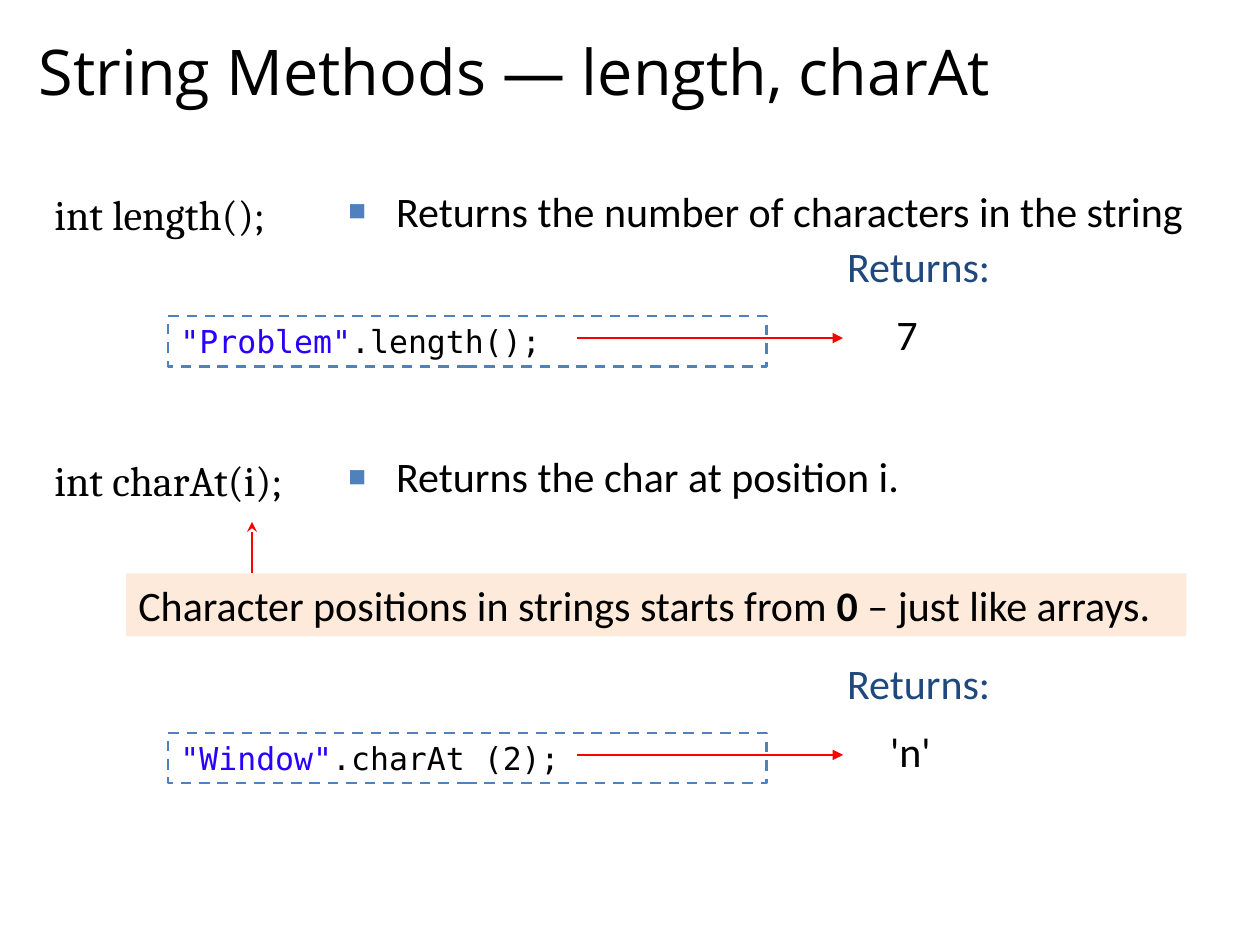
from lxml import etree
from pptx import Presentation
from pptx.dml.color import RGBColor
from pptx.enum.dml import MSO_LINE
from pptx.enum.shapes import MSO_CONNECTOR, MSO_SHAPE
from pptx.enum.text import MSO_ANCHOR, MSO_AUTO_SIZE, PP_ALIGN
from pptx.oxml.ns import qn
from pptx.util import Inches, Pt

BLACK = RGBColor(0x00, 0x00, 0x00)
RED = RGBColor(0xFF, 0x00, 0x00)
BLUE = RGBColor(0x4F, 0x81, 0xBD)
NAVY = RGBColor(0x1F, 0x49, 0x7D)
LITERAL = RGBColor(0x2A, 0x00, 0xFF)
PEACH = RGBColor(0xFD, 0xEA, 0xDA)

STRAIGHT = MSO_CONNECTOR.STRAIGHT
RECTANGLE = MSO_SHAPE.RECTANGLE
DASH = MSO_LINE.DASH
LEFT, CENTER = PP_ALIGN.LEFT, PP_ALIGN.CENTER
TOP, MIDDLE = MSO_ANCHOR.TOP, MSO_ANCHOR.MIDDLE
FIXED, GROW = MSO_AUTO_SIZE.NONE, MSO_AUTO_SIZE.SHAPE_TO_FIT_TEXT

COLUMNS, ROWS = 120, 90
HANGING = Inches(0.38)


def apply(target, values):
    for name, value in values.items():
        setattr(target, name, value)


def add_element(parent, tag, **attributes):
    return etree.SubElement(parent, qn(tag), attributes)


class SlideBuilder:
    BODY = {"name": "Calibri", "size": Pt(24), "bold": False}
    TITLE = {"name": "Open Sans", "size": Pt(36), "bold": False}
    SIGNATURE = {"name": "Cambria", "size": Pt(24), "bold": False}
    CODE = {"name": "DejaVu Sans Mono", "size": Pt(18), "bold": False}

    def __init__(self, deck):
        self.slide = deck.slides.add_slide(deck.slide_layouts[5])
        self.column = deck.slide_width / COLUMNS
        self.row = deck.slide_height / ROWS

    def area(self, left, top, width, height):
        return [round(left * self.column), round(top * self.row),
                round(width * self.column), round(height * self.row)]

    def fill_text(self, shape, runs, font, align=LEFT, anchor=TOP, fit=GROW):
        frame = shape.text_frame
        apply(frame, {"word_wrap": True, "auto_size": fit, "vertical_anchor": anchor})
        paragraph = frame.paragraphs[0]
        paragraph.alignment = align
        for text, color, changes in runs:
            run = paragraph.add_run()
            run.text = text
            apply(run.font, {**font, **changes})
            run.font.color.rgb = color
        return paragraph

    def title(self, text, area):
        heading = self.slide.shapes.title
        apply(heading, dict(zip(("left", "top", "width", "height"), self.area(*area))))
        self.fill_text(heading, [(text, BLACK, {})], self.TITLE, anchor=MIDDLE, fit=FIXED)

    def text(self, text, area, font=BODY, color=BLACK, **layout):
        box = self.slide.shapes.add_textbox(*self.area(*area))
        return self.fill_text(box, [(text, color, {})], font, **layout)

    def signature(self, text, area):
        self.text(text, area, self.SIGNATURE, fit=FIXED).line_spacing = 1.14

    def bullet(self, text, area):
        properties = self.text(text, area, fit=FIXED)._p.get_or_add_pPr()
        properties.set("marL", str(HANGING))
        properties.set("indent", str(-HANGING))
        add_element(add_element(properties, "a:buClr"), "a:srgbClr", val=str(BLUE))
        add_element(properties, "a:buSzPct", val="70000")
        add_element(properties, "a:buFont", typeface="Arial")
        add_element(properties, "a:buChar", char="■")

    def panel(self, runs, area, font=BODY, fill=None, outline=None):
        panel = self.slide.shapes.add_shape(RECTANGLE, *self.area(*area))
        panel.shadow.inherit = False
        if fill:
            panel.fill.solid()
            panel.fill.fore_color.rgb = fill
        else:
            panel.fill.background()
        if outline:
            panel.line.color.rgb = outline
            apply(panel.line, {"width": Pt(1.5), "dash_style": DASH})
        else:
            panel.line.fill.background()
        self.fill_text(panel, runs, font)

    def arrow(self, start, end, head):
        ends = self.area(*start, *end)
        arrow = self.slide.shapes.add_connector(STRAIGHT, *ends)
        arrow.line.color.rgb = RED
        arrow.line.width = Pt(0.75)
        properties = arrow._element.spPr
        add_element(properties.find(qn("a:ln")), "a:tailEnd", type=head)
        add_element(properties, "a:effectLst")

    def method(self, top, signature, description):
        self.signature(signature, (4, top, 28.5, 7.2))
        self.bullet(description, (32, top + 0.36, 84, 8))

    def example(self, top, literal, call, result, indent=0):
        self.text("Returns:", (78, top, 19, 6), color=NAVY, align=CENTER)
        self.text(result, (83.6 + indent, top + 6.5, 14.6, 6))
        self.arrow((55, top + 9.9), (80.3, top + 9.9), "triangle")
        self.panel([(literal, LITERAL, {}), (call, BLACK, {})],
                   (16, top + 7.8, 57, 4.8), self.CODE, outline=BLUE)


def main():
    deck = Presentation()
    apply(deck, {"slide_width": Inches(10), "slide_height": Inches(7.5)})
    builder = SlideBuilder(deck)

    builder.title("String Methods — length, charAt", (2.5, 1.4, 115, 10.6))
    builder.method(16.7, "int length();", "Returns the number of characters in the string")
    builder.example(22.3, '"Problem"', ".length();", "7", indent=0.6)

    builder.method(42, "int charAt(i);", "Returns the char at position i.")
    builder.panel([("Character positions in strings starts from ", BLACK, {}),
                   ("0", BLACK, {"bold": True}),
                   (" – just like arrays.", BLACK, {})],
                  (12, 54.6, 101, 6), fill=PEACH)
    builder.arrow((24, 54.6), (24, 49.7), "stealth")
    builder.example(62, '"Window"', ".charAt (2);", "'n'")

    deck.save("out.pptx")


if __name__ == "__main__":
    main()
